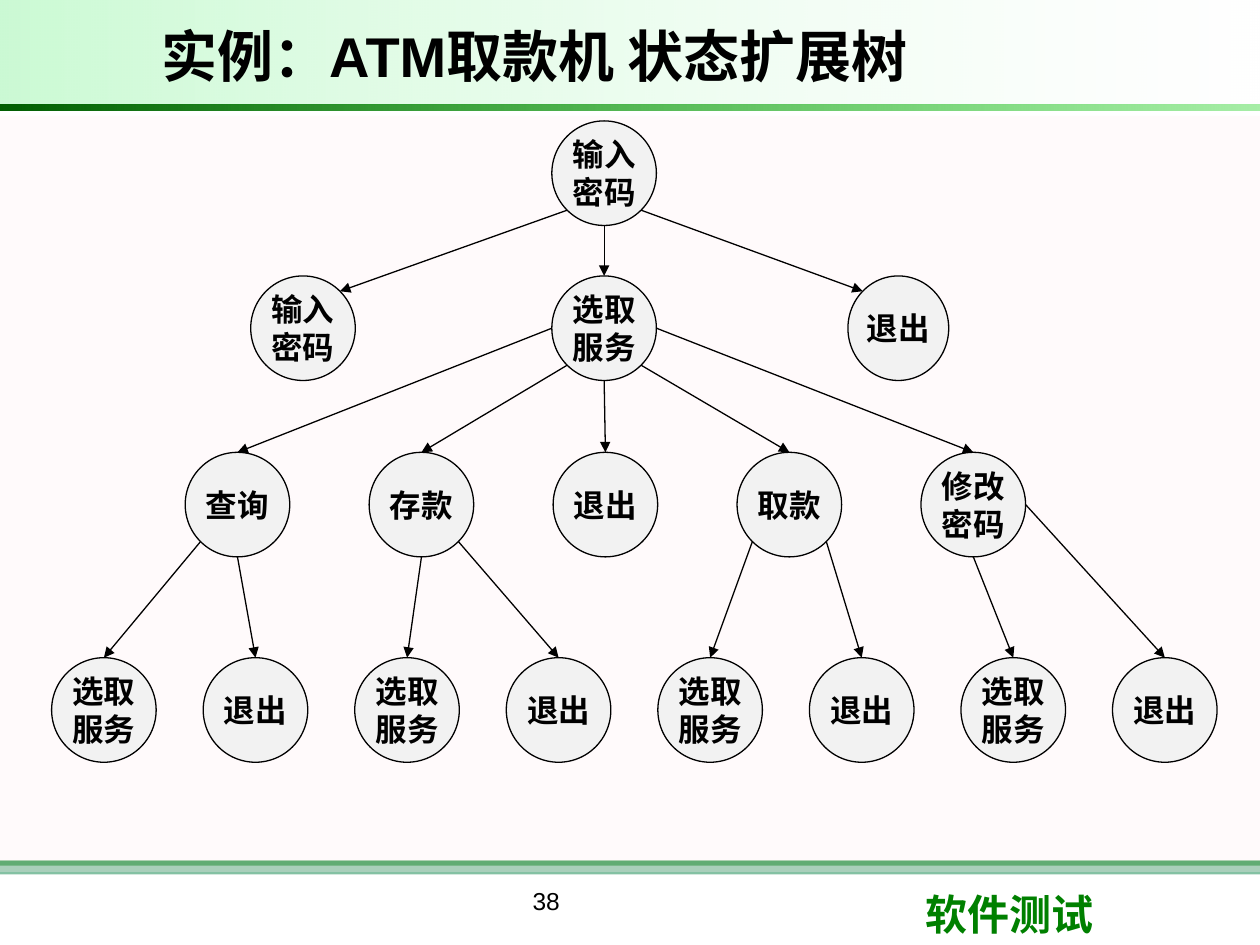
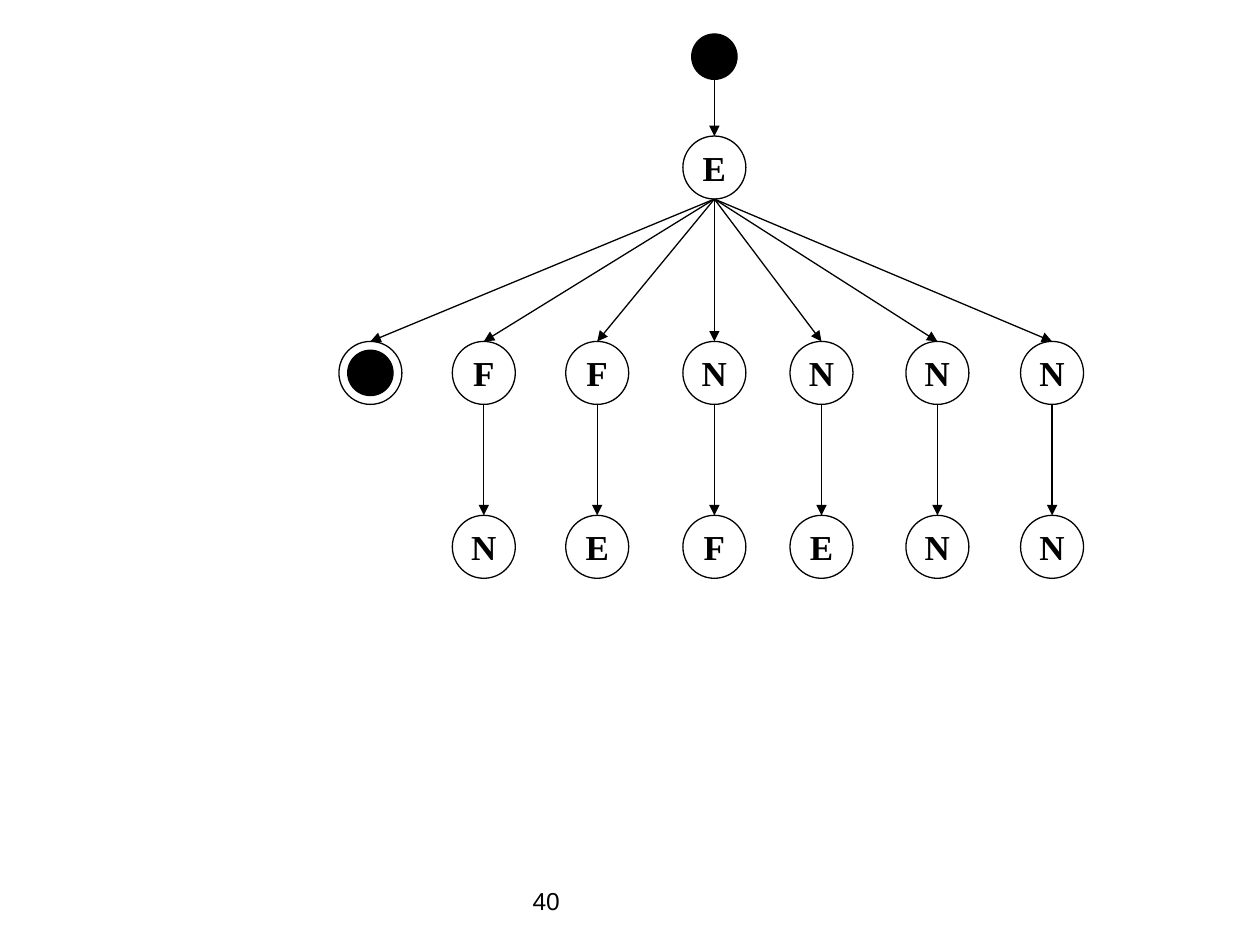
from math import cos, radians, sin

from lxml import etree
from pptx import Presentation
from pptx.dml.color import RGBColor
from pptx.enum.shapes import MSO_CONNECTOR, MSO_SHAPE
from pptx.enum.text import MSO_ANCHOR, PP_ALIGN
from pptx.oxml.ns import qn
from pptx.util import Inches, Pt

OVAL, RECTANGLE, STRAIGHT = MSO_SHAPE.OVAL, MSO_SHAPE.RECTANGLE, MSO_CONNECTOR.STRAIGHT
TOP, MIDDLE = MSO_ANCHOR.TOP, MSO_ANCHOR.MIDDLE
LEFT, CENTER = PP_ALIGN.LEFT, PP_ALIGN.CENTER

color = RGBColor.from_string
BLACK, WHITE, GRAY, GREEN = "000000", "FFFFFF", "F2F2F2", "008000"
LINE_WIDTH = Pt(0.75)
# Clockwise angles of the points where arrows touch a circle
SITES = {"right": 0, "bottom right": 45, "bottom": 90, "bottom left": 135,
         "left": 180, "top left": 225, "top": 270, "top right": 315}


def add_node(slide, left, top, width, height, fill, text="", font="Arial", size=18):
    """Add an outlined ellipse with an optional bold label."""
    node = slide.shapes.add_shape(OVAL, Inches(left), Inches(top), Inches(width), Inches(height))
    node.shadow.inherit = False
    node.fill.solid()
    node.fill.fore_color.rgb = color(fill)
    node.line.color.rgb = color(BLACK)
    node.line.width = LINE_WIDTH
    if text:
        frame = node.text_frame
        frame.margin_left = frame.margin_top = frame.margin_right = frame.margin_bottom = 0
        frame.vertical_anchor = MIDDLE
        frame.word_wrap = True
        frame.text = text
        paragraph = frame.paragraphs[0]
        paragraph.alignment = CENTER
        run_font = paragraph.runs[0].font
        run_font.name, run_font.size, run_font.bold = font, Pt(size), True
        run_font.color.rgb = color(BLACK)
    return node


def add_arrow(slide, parent, child, start="bottom", end="top"):
    """Draw an arrow between named sites of two nodes."""
    points = []
    for node, site in ((parent, start), (child, end)):
        angle = radians(SITES[site])
        points.append(int(node.left + node.width / 2 * (1 + cos(angle))))
        points.append(int(node.top + node.height / 2 * (1 + sin(angle))))
    arrow = slide.shapes.add_connector(STRAIGHT, *points)
    arrow.line.color.rgb = color(BLACK)
    arrow.line.width = LINE_WIDTH
    etree.SubElement(arrow.line._get_or_add_ln(), qn("a:tailEnd"), type="triangle")
    etree.SubElement(arrow._element.spPr, qn("a:effectLst"))


presentation = Presentation()
presentation.slide_width, presentation.slide_height = Inches(10), Inches(7.5)
blank = presentation.slide_layouts[6]
atm_slide = presentation.slides.add_slide(blank)
state_slide = presentation.slides.add_slide(blank)

# Bands: position, then (colour, opacity in percent) from left to right
bands = [
    ((0, 6.83, 10, 0.04), [(GREEN, 100)]),
    ((0, 6.83, 10, 0.11), [("339966", 60)]),
    ((0, 0.92, 10, 6), [("FFF0F5", 30)]),
    ((0, 0, 10, 0.83), [("09E733", 21), (WHITE, 10)]),
    ((0, 0.83, 10, 0.05), [("005E00", 100), ("00CC00", 35)]),
]
for position, stops in bands:
    band = atm_slide.shapes.add_shape(RECTANGLE, *map(Inches, position))
    band.shadow.inherit = False
    band.line.fill.background()
    if len(stops) == 1:
        band.fill.solid()
        targets = [band.fill.fore_color]
    else:
        band.fill.gradient()
        band.fill.gradient_angle = 0
        targets = [stop.color for stop in band.fill.gradient_stops]
    for target, (shade, _) in zip(targets, stops):
        target.rgb = color(shade)
    shades = band._element.spPr.findall(".//" + qn("a:srgbClr"))
    for shade, (_, opacity) in zip(shades, stops):
        if opacity < 100:
            etree.SubElement(shade, qn("a:alpha"), val=str(opacity * 1000))

# Title, footer and page numbers
page_number_at = (2.75, 6.98, 3.17, 0.52)
labels = [
    (atm_slide, (7.25, 7, 2.37, 0.5), "软件测试", "Calibri", 24, True, GREEN, LEFT, TOP),
    (atm_slide, (1.18, 0.08, 6.97, 0.71), "实例：ATM取款机 状态扩展树", "Arial", 32, True, BLACK,
     LEFT, MIDDLE),
    (atm_slide, page_number_at, "38", "Arial", 14, False, BLACK, CENTER, TOP),
    (state_slide, page_number_at, "40", "Arial", 14, False, BLACK, CENTER, TOP),
]
for slide, position, text, font, size, bold, shade, alignment, anchor in labels:
    frame = slide.shapes.add_textbox(*map(Inches, position)).text_frame
    frame.word_wrap = True
    frame.vertical_anchor = anchor
    frame.text = text
    paragraph = frame.paragraphs[0]
    paragraph.alignment = alignment
    run_font = paragraph.runs[0].font
    run_font.name, run_font.size, run_font.bold = font, Pt(size), bold
    run_font.color.rgb = color(shade)

# ATM state tree
DIAMETER = 0.83
password = add_node(atm_slide, 4.38, 0.96, DIAMETER, DIAMETER, GRAY, "输入密码")
retry = add_node(atm_slide, 1.99, 2.19, DIAMETER, DIAMETER, GRAY, "输入密码")
service = add_node(atm_slide, 4.38, 2.19, DIAMETER, DIAMETER, GRAY, "选取服务")
leave = add_node(atm_slide, 6.73, 2.19, 0.8, DIAMETER, GRAY, "退出")
add_arrow(atm_slide, password, retry, "bottom left", "top right")
add_arrow(atm_slide, password, service)
add_arrow(atm_slide, password, leave, "bottom right", "top left")

# Each service: label, site its arrow leaves from, sites its own arrows leave from
services = [
    ("查询", "left", ("bottom left", "bottom")),
    ("存款", "bottom left", ("bottom", "bottom right")),
    ("退出", "bottom", ()),
    ("取款", "bottom right", ("bottom left", "bottom right")),
    ("修改密码", "right", ("bottom", "right")),
]
leaf_left, leaf_step = 0.41, (8.83 - 0.41) / 7
for column, (text, start, leaf_starts) in enumerate(services):
    operation = add_node(atm_slide, 1.47 + 1.46 * column, 3.59, DIAMETER, DIAMETER, GRAY, text)
    add_arrow(atm_slide, service, operation, start)
    for leaf_text, leaf_start in zip(("选取服务", "退出"), leaf_starts):
        leaf = add_node(atm_slide, leaf_left, 5.22, DIAMETER, DIAMETER, GRAY, leaf_text)
        add_arrow(atm_slide, operation, leaf, leaf_start)
        leaf_left += leaf_step

# Empty / Normal / Full state tree
RING, DOT = 0.5, 0.36
LETTER = ("Times New Roman", 20)
initial = add_node(state_slide, 5.49, 0.27, DOT, DOT, BLACK)
empty = add_node(state_slide, 5.42, 1.08, RING, RING, WHITE, "E", *LETTER)
final = add_node(state_slide, 2.69, 2.71, RING, RING, WHITE)
add_node(state_slide, 2.76, 2.78, DOT, DOT, BLACK)
add_arrow(state_slide, initial, empty)
add_arrow(state_slide, empty, final)

lefts = (3.59, 4.49, 5.42, 6.27, 7.19, 8.1)
for left, upper_text, lower_text in zip(lefts, "FFNNNN", "NEFENN"):
    upper = add_node(state_slide, left, 2.71, RING, RING, WHITE, upper_text, *LETTER)
    lower = add_node(state_slide, left, 4.09, RING, RING, WHITE, lower_text, *LETTER)
    add_arrow(state_slide, empty, upper)
    add_arrow(state_slide, upper, lower)

presentation.save("out.pptx")
